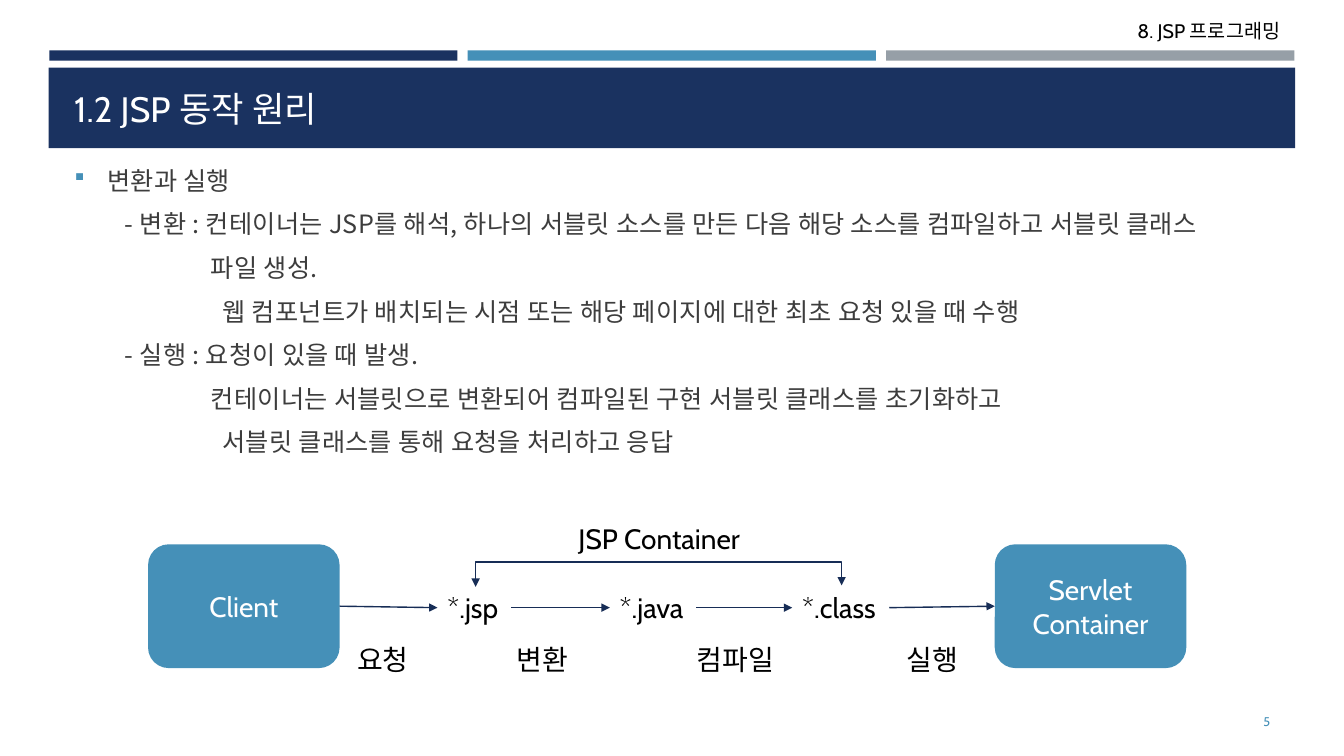
from lxml import etree
from pptx import Presentation
from pptx.dml.color import RGBColor
from pptx.enum.shapes import MSO_CONNECTOR as Connector, MSO_SHAPE as Shape
from pptx.enum.text import MSO_ANCHOR as Anchor, MSO_AUTO_SIZE as AutoSize, PP_ALIGN as Align
from pptx.oxml.ns import qn
from pptx.util import Pt

NAVY = RGBColor(0x1A, 0x32, 0x60)
BLUE = RGBColor(0x45, 0x90, 0xB8)
GRAY = RGBColor(0x96, 0x9F, 0xA7)
ARROW = RGBColor(0x17, 0x2D, 0x56)
BODY = RGBColor(0x3D, 0x3D, 0x3D)
BLACK = RGBColor(0, 0, 0)
WHITE = RGBColor(0xFF, 0xFF, 0xFF)
LATIN, KOREAN = "Cabin", "Noto Sans CJK KR"

# Content: body lines are (left indent, text)
HEADER = "8. JSP 프로그래밍"
TITLE = "1.2 JSP 동작 원리"
PAGE = "5"
BODY_LINES = [
    (23.5, "변환과 실행"),
    (36, "- 변환 : 컨테이너는 JSP를 해석, 하나의 서블릿 소스를 만든 다음 해당 소스를 컴파일하고 서블릿 클래스"),
    (97.5, "파일 생성."),
    (105.7, "웹 컴포넌트가 배치되는 시점 또는 해당 페이지에 대한 최초 요청 있을 때 수행"),
    (36, "- 실행 : 요청이 있을 때 발생."),
    (97.5, "컨테이너는 서블릿으로 변환되어 컴파일된 구현 서블릿 클래스를 초기화하고"),
    (105.7, "서블릿 클래스를 통해 요청을 처리하고 응답"),
]
ENDS = [("Client", 105.8), ("Servlet\vContainer", 710.6)]
FILES = [("*.jsp", 312.5, 52.8), ("*.java", 435.6, 61.9), ("*.class", 565.9, 69.3)]
STEPS = [("요청", 248, 59.8), ("변환", 361.8, 59.8), ("컴파일", 490.8, 77), ("실행", 640.8, 59.8)]
CONTAINER = "JSP Container"

presentation = Presentation()
presentation.slide_width, presentation.slide_height = Pt(960), Pt(540)
slide = presentation.slides.add_slide(presentation.slide_layouts[6])


def style(paragraph, size, color, latin=LATIN, spacing=0):
    """Set the font; spacing is in hundredths of a point."""
    font = paragraph.font
    font.size, font.name, font.color.rgb = Pt(size), latin, color
    properties = paragraph._p.get_or_add_pPr().find(qn("a:defRPr"))
    etree.SubElement(properties, qn("a:ea"), typeface=KOREAN)
    if spacing:
        properties.set("spc", str(spacing))


def add_block(kind, left, top, width, height, color):
    shape = slide.shapes.add_shape(kind, Pt(left), Pt(top), Pt(width), Pt(height))
    shape.shadow.inherit = False
    shape.fill.solid()
    shape.fill.fore_color.rgb = color
    shape.line.fill.background()
    return shape


def add_text(text, left, top, width, height, size=20, color=BLACK,
             align=Align.LEFT, anchor=Anchor.TOP, wrap=True, spacing=0):
    box = slide.shapes.add_textbox(Pt(left), Pt(top), Pt(width), Pt(height))
    frame = box.text_frame
    frame.word_wrap, frame.vertical_anchor = wrap, anchor
    if not wrap:
        frame.auto_size = AutoSize.SHAPE_TO_FIT_TEXT
    paragraph = frame.paragraphs[0]
    paragraph.text, paragraph.alignment = text, align
    style(paragraph, size, color, spacing=spacing)
    return box


def add_arrow(kind, start, end, heads=("tailEnd",)):
    connector = slide.shapes.add_connector(kind, *[Pt(value) for value in start + end])
    connector.line.color.rgb, connector.line.width = ARROW, Pt(1)
    line = connector.line._get_or_add_ln()
    for head in heads:
        etree.SubElement(line, qn(f"a:{head}"), type="triangle")
    etree.SubElement(connector._element.spPr, qn("a:effectLst"))
    return connector


# Header bars, title band and page number
for index, color in enumerate([NAVY, BLUE, GRAY]):
    add_block(Shape.RECTANGLE, 35.2 + index * 298.9, 36, 291.6, 7.4, color)
add_text(HEADER, 630.7, 10.1, 290.9, 24.5, 14, align=Align.RIGHT)
add_block(Shape.RECTANGLE, 34.8, 48.4, 890.4, 57.4, NAVY)
add_text(TITLE, 45.8, 55.4, 868.3, 41, 25.2, WHITE, anchor=Anchor.BOTTOM, spacing=10)
add_text(PAGE, 831.6, 501.1, 82.8, 28.8, 9, BLUE, Align.RIGHT, Anchor.MIDDLE)

# Body text
body = slide.shapes.add_textbox(Pt(46.1), Pt(114.5), Pt(868.3), Pt(250)).text_frame
body.word_wrap = True
for index, (indent, text) in enumerate(BODY_LINES):
    paragraph = body.paragraphs[0] if index == 0 else body.add_paragraph()
    paragraph.text = text
    paragraph.space_after = Pt(9.5)
    style(paragraph, 18, BODY, KOREAN, 20)
    properties = paragraph._p.get_or_add_pPr()
    properties.set("marL", str(Pt(indent)))
    if index == 0:
        properties.set("indent", str(Pt(-indent)))
        bullet_color = etree.Element(qn("a:buClr"))
        etree.SubElement(bullet_color, qn("a:srgbClr"), val=str(BLUE))
        bullet_size = etree.Element(qn("a:buSzPct"), val="92000")
        # This symbol font draws § as a filled square
        bullet_font = etree.Element(qn("a:buFont"), typeface="Wingdings", charset="2")
        bullet = etree.Element(qn("a:buChar"), char="§")
        defaults = properties.find(qn("a:defRPr"))
        for element in (bullet_color, bullet_size, bullet_font, bullet):
            defaults.addprevious(element)

# Diagram nodes and step labels
ends = []
for text, left in ENDS:
    shape = add_block(Shape.ROUNDED_RECTANGLE, left, 388.8, 136.8, 88.4, BLUE)
    shape.text_frame.vertical_anchor = Anchor.MIDDLE
    paragraph = shape.text_frame.paragraphs[0]
    paragraph.text, paragraph.alignment = text, Align.CENTER
    style(paragraph, 20, WHITE)
    ends.append(shape)
files = [add_text(text, left, 418.3, width, 31.5, wrap=False) for text, left, width in FILES]
for text, left, width in STEPS:
    add_text(text, left, 455.4, width, 31.5)
add_text(CONTAINER, 406.1, 368.6, 136.8, 31.5, wrap=False)

# Arrows from each node to the next
nodes = [ends[0], *files, ends[1]]
for source, target in zip(nodes, nodes[1:]):
    arrow = add_arrow(Connector.STRAIGHT, (0, 0), (0, 0))
    arrow.begin_connect(source, 3)
    arrow.end_connect(target, 1)

# Bracket over the container: a quarter turn with the bend 18 pt above its start
bracket = add_arrow(Connector.ELBOW, (470, 288), (471, 549.4), ("headEnd", "tailEnd"))
transform = bracket._element.spPr.find(qn("a:xfrm"))
for name, value in (("rot", "5400000"), ("flipH", "1"), ("flipV", "1")):
    transform.set(name, value)
adjustments = bracket._element.spPr.find(qn("a:prstGeom")).find(qn("a:avLst"))
etree.SubElement(adjustments, qn("a:gd"), name="adj1", fmla="val 1800000")

presentation.save("out.pptx")
